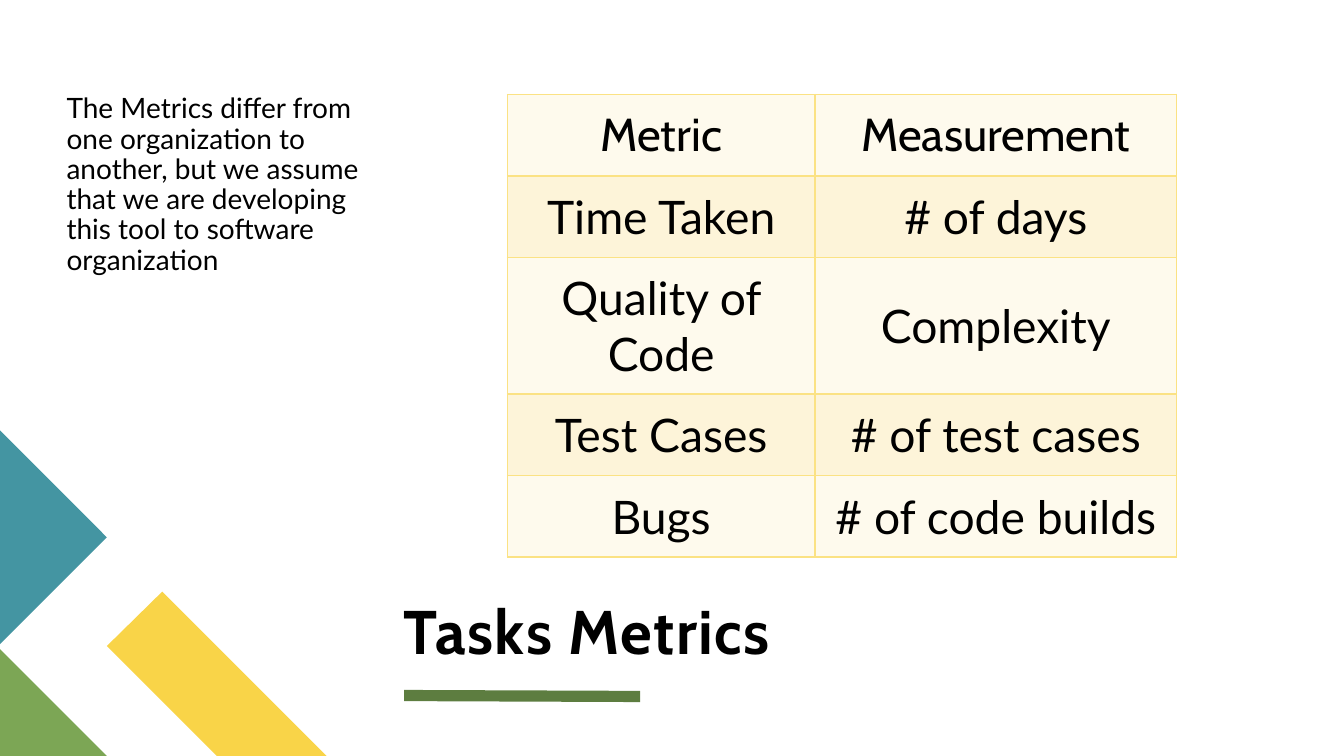
"""Build the Tasks Metrics slide with its table and corner shapes."""
from lxml.etree import SubElement
from pptx import Presentation
from pptx.dml.color import RGBColor
from pptx.enum.shapes import MSO_CONNECTOR
from pptx.enum.text import MSO_ANCHOR, PP_ALIGN
from pptx.oxml.ns import qn
from pptx.util import Pt

HUES = {"ink": "000000", "teal": "4495A2", "lime": "7CA655", "gold": "F9D448",
        "moss": "5D7D40", "edge": "FBE284", "pale": "FEFAED", "cream": "FDF4D9"}


def paint(fill, hue):
    fill.solid()
    fill.fore_color.rgb = RGBColor.from_string(HUES[hue])


def write(frame, text, form, look):
    frame.word_wrap = True
    para = frame.paragraphs[0]
    for key, value in form.items():
        setattr(para, key, value)
    run = para.add_run()
    run.text = text
    for key, value in look.items():
        setattr(run.font, key, value)
    paint(run.font.fill, "ink")
    return run


deck = Presentation()
deck.slide_width, deck.slide_height = Pt(960), Pt(540)
slide = deck.slides.add_slide(deck.slide_layouts[6])
shapes = slide.shapes

corners = [
    ("gold", [(233.3, 540), (154.8, 540), (76.3, 461.5), (115.9, 422.6)]),
    ("lime", [(76.3, 540), (0, 540), (0, 463.7)]),
    ("teal", [(0, 307.4), (76.3, 383.8), (0, 460.1)]),
]
for hue, spots in corners:
    spots = [(Pt(x), Pt(y)) for x, y in spots]
    pen = shapes.build_freeform(*spots[0])
    pen.add_line_segments(spots[1:], close=True)
    piece = pen.convert_to_shape()
    piece.shadow.inherit = False
    paint(piece.fill, hue)
    piece.line.fill.background()

rule = shapes.add_connector(
    MSO_CONNECTOR.STRAIGHT, Pt(288.7), Pt(496.8), Pt(457.2), Pt(497.5))
paint(rule.line.fill, "moss")
rule.line.width = Pt(8)
SubElement(rule.element.spPr, qn("a:effectLst"))

texts = [
    ("Tasks Metrics", (288, 367.2, 625, 108.7), (0, 0, 0, 0), MSO_ANCHOR.BOTTOM,
     0.8, {"name": "Cabin", "size": Pt(44), "bold": True}, "100"),
    ("The Metrics differ from one organization to another, but we assume "
     "that we are developing this tool to software organization",
     (47.5, 46.1, 222.5, 314.6), (0, 21.6, 7.2, 3.6), MSO_ANCHOR.TOP,
     0.9, {"name": "Lato", "size": Pt(20)}, "0"),
]
sides = ("margin_left", "margin_top", "margin_right", "margin_bottom")
for text, place, pads, anchor, pitch, look, gap in texts:
    frame = shapes.add_textbox(*map(Pt, place)).text_frame
    frame.vertical_anchor = anchor
    for side, pad in zip(sides, pads):
        setattr(frame, side, Pt(pad))
    run = write(frame, text, {"line_spacing": pitch}, look)
    run.font.fill
    run.font._element.set("spc", gap)

rows = [
    ("Metric", "Measurement"),
    ("Time Taken", "# of days"),
    ("Quality of Code", "Complexity"),
    ("Test Cases", "# of test cases"),
    ("Bugs", "# of code builds"),
]
table = shapes.add_table(
    len(rows), 2, Pt(362.5), Pt(67.5), Pt(478.1), Pt(330)).table
table.first_row = table.horz_banding = False
for col, width in zip(table.columns, (219.6, 258.5)):
    col.width = Pt(width)
for row, height in zip(table.rows, (58.2, 58.2, 97.6, 58.2, 58.2)):
    row.height = Pt(height)

for r, row in enumerate(rows):
    face = "Lato" if r else "Cabin"
    for c, text in enumerate(row):
        cell = table.cell(r, c)
        cell.vertical_anchor = MSO_ANCHOR.MIDDLE
        for side, pad in zip(sides, (13, 6.5, 13, 6.5)):
            setattr(cell, side, Pt(pad))
        props = cell._tc.get_or_add_tcPr()
        for edge in ("lnL", "lnR", "lnT", "lnB"):
            line = SubElement(props, qn(f"a:{edge}"), w=str(Pt(1)))
            fill = SubElement(line, qn("a:solidFill"))
            SubElement(fill, qn("a:srgbClr"), val=HUES["edge"])
        paint(cell.fill, "cream" if r % 2 else "pale")
        write(cell.text_frame, text, {"alignment": PP_ALIGN.CENTER},
              {"name": face, "size": Pt(33)})

deck.save("out.pptx")
